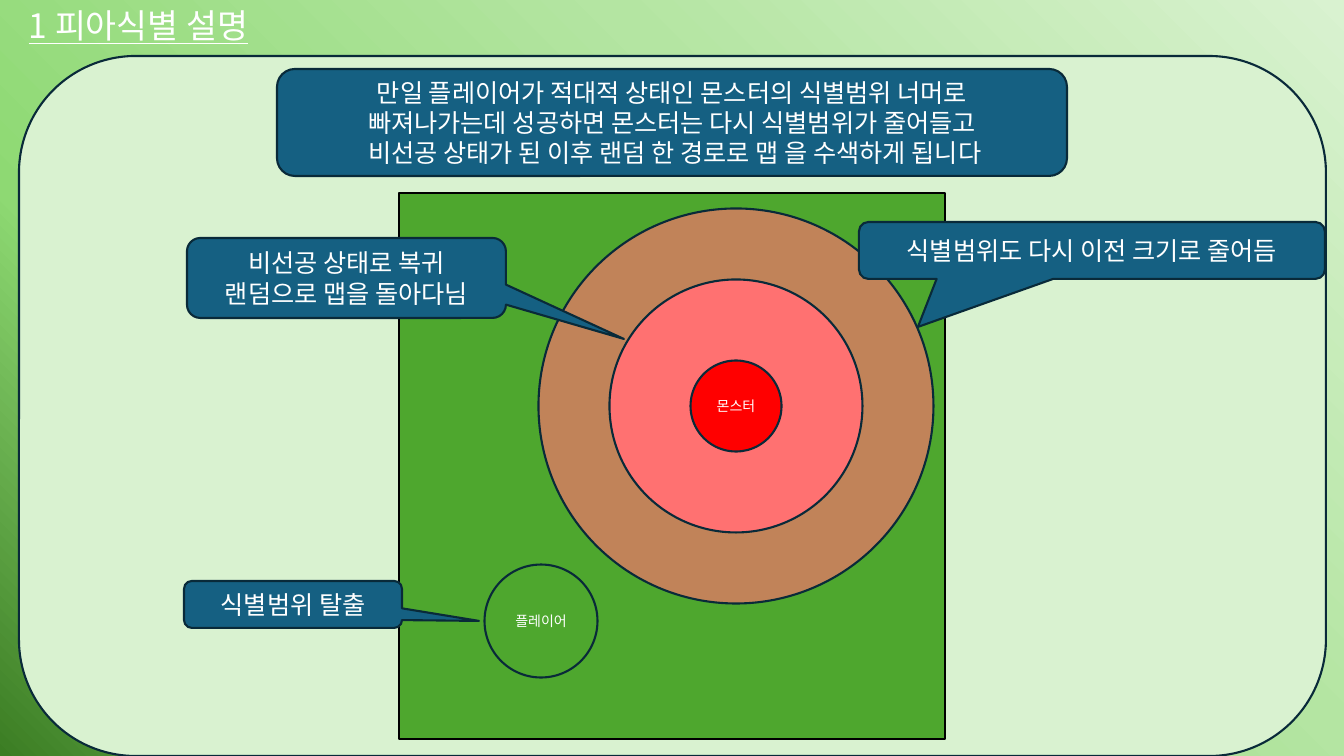
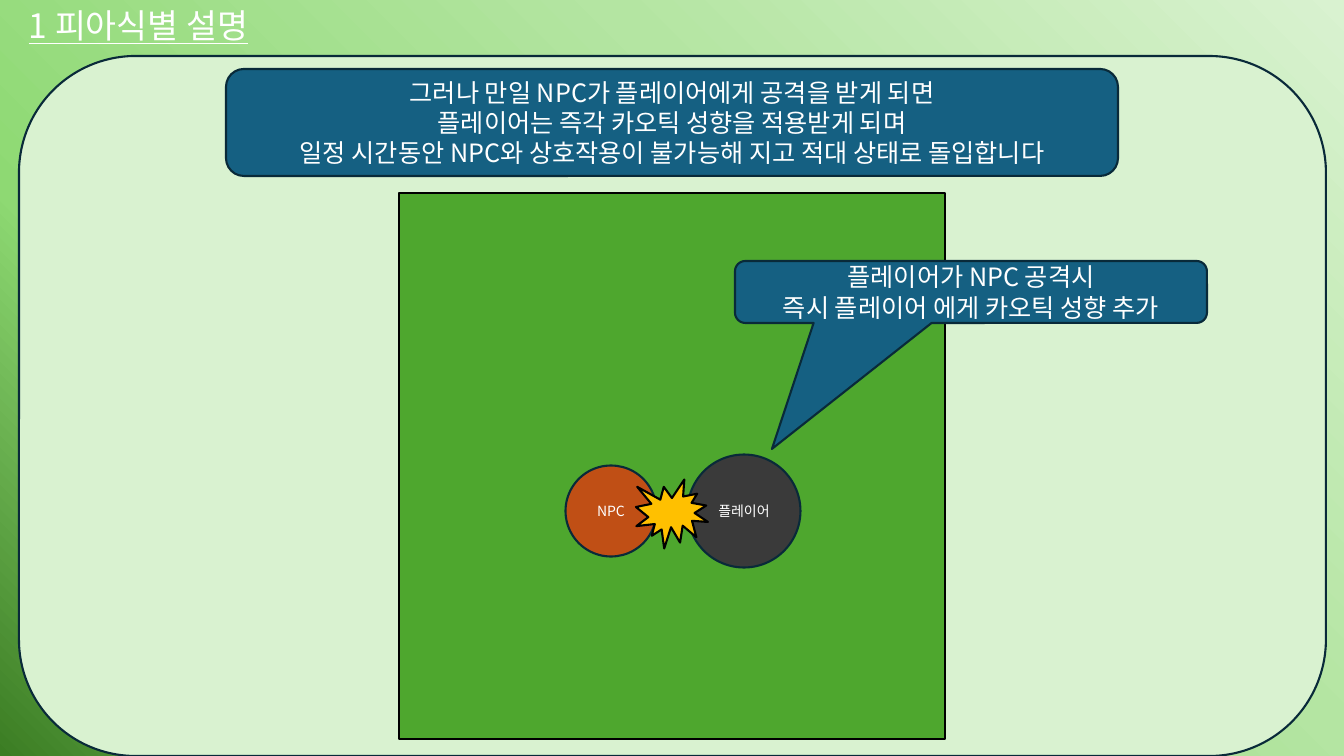
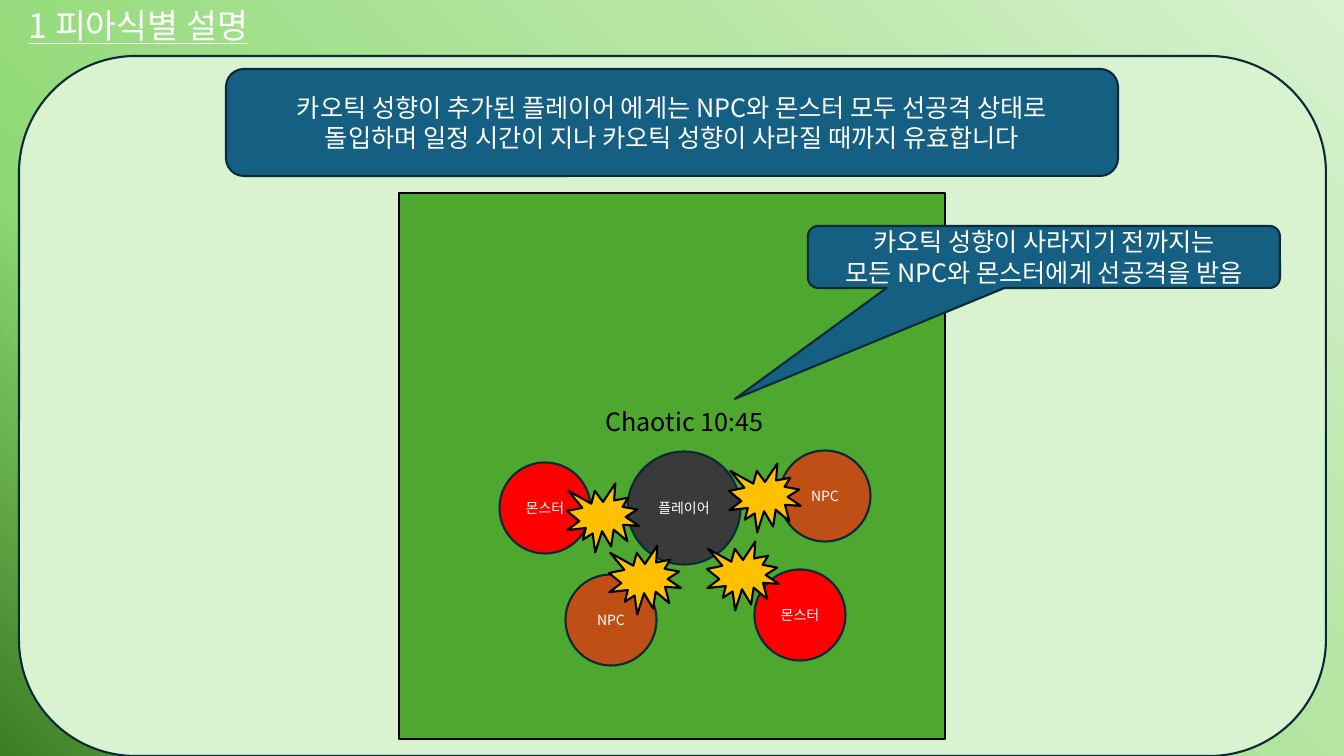
from lxml import etree
from pptx import Presentation
from pptx.dml.color import RGBColor
from pptx.enum.shapes import MSO_SHAPE
from pptx.enum.text import MSO_ANCHOR, MSO_AUTO_SIZE, PP_ALIGN
from pptx.oxml.ns import qn
from pptx.util import Emu, Pt

RECT = MSO_SHAPE.RECTANGLE
ROUND_RECT = MSO_SHAPE.ROUNDED_RECTANGLE
OVAL = MSO_SHAPE.OVAL
CALLOUT = MSO_SHAPE.ROUNDED_RECTANGULAR_CALLOUT
BURST = MSO_SHAPE.EXPLOSION1
LEFT, CENTER = PP_ALIGN.LEFT, PP_ALIGN.CENTER
TOP, MIDDLE = MSO_ANCHOR.TOP, MSO_ANCHOR.MIDDLE
GROW = MSO_AUTO_SIZE.SHAPE_TO_FIT_TEXT

PX = 914400 / 100.8
PAGE_W, PAGE_H = 1344, 756
FONT = "Noto Sans CJK KR"
WHITE, BLACK, NAVY, BLUE = "FFFFFF", "000000", "092A39", "156082"
PALE, GRASS, RED, PINK = "D9F2D0", "4EA72E", "FF0000", "FF7171"
RUST, CHARCOAL, GOLD = "C04F15", "3A3A3A", "FFC000"
BACKDROP = [(0, "3B7D23"), (27, "8ED973"), (65, "B4E5A2"), (100, PALE)]

TITLE = "1 피아식별 설명"
TITLE_BOX = (19, 0, 576, 50)
PANEL_BOX = (19, 56, 1307, 700)
MAP_BOX = (399, 193, 546, 546)
BANNER_TOP, BANNER_H = 69, 107
SMALL, LARGE = 91, 113
BURST_W, BURST_H = 72, 69

LABEL = {"size": Pt(18), "name": FONT}
TITLE_FORMAT = {"size": Pt(24), "name": FONT, "underline": True}
NAME_TAG = {"size": Pt(10), "name": FONT}

# Piece on the map: label, fill, diameter
MONSTER = ("몬스터", RED, SMALL)
NPC = ("NPC", RUST, SMALL)
PLAYER = ("플레이어", GRASS, LARGE)
CHAOTIC_PLAYER = ("플레이어", CHARCOAL, LARGE)

# Places inside a scene are measured from the top left of the map
SCENES = [
    {
        "banner": (790, ["만일 플레이어가 적대적 상태인 몬스터의 식별범위 너머로",
                         "빠져나가는데 성공하면 몬스터는 다시 식별범위가 줄어들고",
                         " 비선공 상태가 된 이후 랜덤 한 경로로 맵 을 수색하게 됩니다"]),
        "ranges": [(337, 213, 395, 65), (337, 213, 253, 100)],
        "pieces": [(MONSTER, 337, 213), (PLAYER, 142, 428)],
        "callouts": [
            ((-212, 45, 319, 80), (225, 146),
             ["비선공 상태로 복귀", "랜덤으로 맵을 돌아다님"]),
            ((-215, 388, 218, 47), (80, 428), ["식별범위 탈출"]),
            ((460, 29, 466, 57), (519, 134), ["식별범위도 다시 이전 크기로 줄어듬"]),
        ],
    },
    {
        "banner": (892, ["그러나 만일 NPC가 플레이어에게 공격을 받게 되면",
                         "플레이어는 즉각 카오틱 성향을 적용받게 되며",
                         "일정 시간동안 NPC와 상호작용이 불가능해 지고 적대 상태로 돌입합니다"]),
        "pieces": [(NPC, 212, 318), (CHAOTIC_PLAYER, 345, 318)],
        "callouts": [
            ((336, 68, 472, 62), (373, 256),
             ["플레이어가 NPC 공격시", "즉시 플레이어 에게 카오틱 성향 추가"]),
        ],
        "bursts": [(273, 321)],
    },
    {
        "banner": (892, ["카오틱 성향이 추가된 플레이어 에게는 NPC와 몬스터 모두 선공격 상태로",
                         "돌입하며 일정 시간이 지나 카오틱 성향이 사라질 때까지 유효합니다"]),
        "pieces": [(NPC, 426, 303), (CHAOTIC_PLAYER, 285, 315), (MONSTER, 401, 422),
                   (NPC, 212, 427), (MONSTER, 146, 315)],
        "callouts": [
            ((409, 33, 472, 62), (336, 206),
             ["카오틱 성향이 사라지기 전까지는", "모든 NPC와 몬스터에게 선공격을 받음"]),
        ],
        "timer": ((188, 208, 195, 40), "Chaotic 10:45"),
        "bursts": [(366, 305), (246, 387), (344, 383), (204, 325)],
    },
]


def px(length):
    return Emu(round(length * PX))


def color(hex_value):
    return RGBColor.from_string(hex_value)


def centered(x, y, width, height):
    return x - width / 2, y - height / 2, width, height


def inside(outer, box):
    return outer[0] + box[0], outer[1] + box[1], box[2], box[3]


def write(shape, lines, formats, ink=WHITE, align=CENTER, anchor=MIDDLE):
    frame = shape.text_frame
    frame.word_wrap = True
    frame.vertical_anchor = anchor
    for index, line in enumerate(lines):
        para = frame.paragraphs[0] if index == 0 else frame.add_paragraph()
        para.alignment = align
        span = para.add_run()
        span.text = line
        span.font.color.rgb = color(ink)
        for key, value in formats.items():
            setattr(span.font, key, value)
        east_asian = etree.SubElement(span.font._element, qn("a:ea"))
        east_asian.set("typeface", FONT)


def add_block(page, kind, box, fill, line=NAVY, opacity=100):
    shape = page.shapes.add_shape(kind, *map(px, box))
    shape.shadow.inherit = False
    shape.fill.solid()
    shape.fill.fore_color.rgb = color(fill)
    shape.line.color.rgb = color(line)
    shape.line.width = Pt(1.5)
    if opacity < 100:
        tint = shape.element.spPr.find(qn("a:solidFill"))[0]
        etree.SubElement(tint, qn("a:alpha")).set("val", str(opacity * 1000))
    return shape


def add_text(page, box, text, formats, **style):
    shape = page.shapes.add_textbox(*map(px, box))
    write(shape, [text], formats, anchor=TOP, **style)
    shape.text_frame.auto_size = GROW


def paint_backdrop(page):
    fill = page.background.fill
    fill.gradient()
    fill.gradient_angle = 45
    stops = page.element.find(".//" + qn("a:gsLst"))
    for stop in list(stops):
        stops.remove(stop)
    for position, tone in BACKDROP:
        stop = etree.SubElement(stops, qn("a:gs"))
        stop.set("pos", str(position * 1000))
        etree.SubElement(stop, qn("a:srgbClr")).set("val", tone)


def add_frame(page):
    """Backdrop, panel and title shared by all pages."""
    paint_backdrop(page)
    add_block(page, ROUND_RECT, PANEL_BOX, PALE)
    add_text(page, TITLE_BOX, TITLE, TITLE_FORMAT, align=LEFT)


def add_banner(page, width, lines):
    box = ((PAGE_W - width) / 2, BANNER_TOP, width, BANNER_H)
    write(add_block(page, ROUND_RECT, box, BLUE), lines, LABEL)


def add_callout(page, box, tip, lines):
    shape = add_block(page, CALLOUT, box, BLUE)
    left, top, width, height = box
    shape.adjustments[0] = (tip[0] - left) / width - 0.5
    shape.adjustments[1] = (tip[1] - top) / height - 0.5
    write(shape, lines, LABEL)


def add_map(page, area, scene):
    left, top = area[:2]
    add_block(page, RECT, area, GRASS, BLACK)
    # Detection ranges
    for x, y, size, opacity in scene.get("ranges", []):
        box = inside(area, centered(x, y, size, size))
        add_block(page, OVAL, box, PINK, opacity=opacity)
    # Characters
    for (name, fill, size), x, y in scene["pieces"]:
        box = inside(area, centered(x, y, size, size))
        write(add_block(page, OVAL, box, fill), [name], NAME_TAG)
    # Explanations
    for box, (x, y), lines in scene["callouts"]:
        add_callout(page, inside(area, box), (left + x, top + y), lines)
    # Countdown
    if "timer" in scene:
        box, text = scene["timer"]
        add_text(page, inside(area, box), text, LABEL, ink=BLACK)
    # Attacks
    for x, y in scene.get("bursts", []):
        box = inside(area, centered(x, y, BURST_W, BURST_H))
        add_block(page, BURST, box, GOLD, BLACK)


def main():
    deck = Presentation()
    deck.slide_width, deck.slide_height = px(PAGE_W), px(PAGE_H)
    for scene in SCENES:
        page = deck.slides.add_slide(deck.slide_layouts[6])
        add_frame(page)
        add_banner(page, *scene["banner"])
        add_map(page, MAP_BOX, scene)
    deck.save("out.pptx")


if __name__ == "__main__":
    main()
